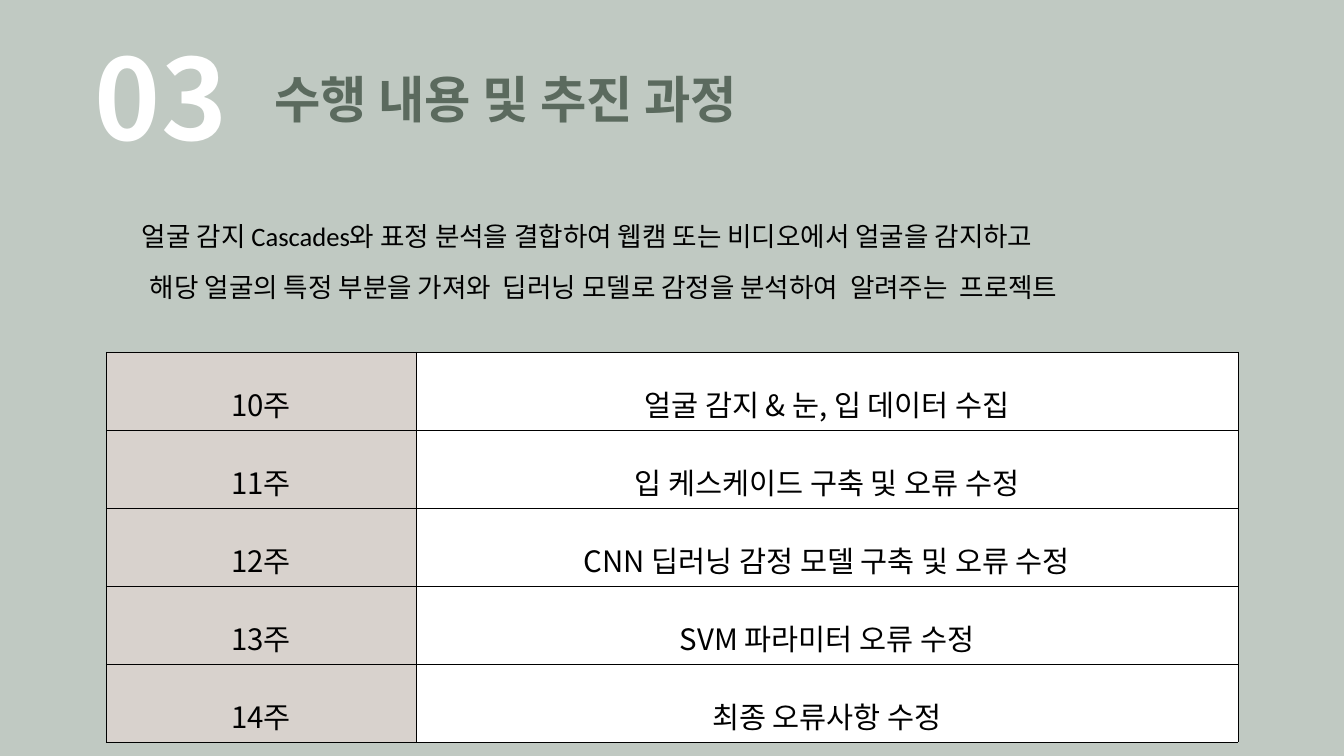
"""Build the project process slide with its weekly schedule table."""
from lxml.etree import SubElement
from pptx import Presentation
from pptx.dml.color import RGBColor
from pptx.enum.text import MSO_ANCHOR as Anchor, PP_ALIGN as Align
from pptx.oxml.ns import qn
from pptx.util import Emu, Pt

COLORS = {"page": "C0C9C2", "white": "FFFFFF", "black": "000000",
          "title": "5B6A5E", "week": "D8D2CD"}
NOTO = "Noto Sans CJK KR"
SUMMARY = [
    (14, "얼굴 감지 Cascades와 표정 분석을 결합하여 웹캠 또는 비디오에서 얼굴을 감지하고"),
    (22, "해당 얼굴의 특정 부분을 가져와  딥러닝 모델로 감정을 분석하여  알려주는  프로젝트"),
]
TASKS = [
    "얼굴 감지 & 눈, 입 데이터 수집",
    "입 케스케이드 구축 및 오류 수정",
    "CNN 딥러닝 감정 모델 구축 및 오류 수정",
    "SVM 파라미터 오류 수정",
    "최종 오류사항 수정",
]
FIRST_WEEK = 10


def px(length):
    return Emu(round(length * 914400 / 100.8))


def color(name):
    return RGBColor.from_string(COLORS[name])


class SlideWriter:
    """Hold the style and the current slide."""

    def __init__(self, deck):
        self.page = deck.slides.add_slide(deck.slide_layouts[5])
        fill = self.page.background.fill
        fill.solid()
        fill.fore_color.rgb = color("page")

    def style(self, para, size, font=NOTO, ink="black", bold=False,
              align=Align.LEFT, spacing=1.6):
        para.alignment = align
        para.line_spacing = spacing
        para.space_before = Pt(0)
        for span in para.runs:
            span.font.size = Pt(size)
            span.font.name = font
            span.font.bold = bold
            span.font.color.rgb = color(ink)

    def place(self, box, left, top, width, height):
        box.left, box.top = px(left), px(top)
        box.width, box.height = px(width), px(height)

    def title(self, text, *area):
        box = self.page.shapes.title
        self.place(box, *area)
        box.text_frame.text = text
        box.text_frame.vertical_anchor = Anchor.MIDDLE
        self.style(box.text_frame.paragraphs[0], 36, ink="title", bold=True,
                   align=Align.JUSTIFY, spacing=1.2)

    def text_box(self, text, *area):
        box = self.page.shapes.add_textbox(*map(px, area))
        box.text_frame.word_wrap = True
        box.text_frame.text = text
        return box.text_frame.paragraphs

    def number(self, text, *area):
        for para in self.text_box(text, *area):
            self.style(para, 80, ink="white", bold=True, spacing=0.9)

    def summary(self, lines, *area):
        paragraphs = self.text_box("\n".join(text for _, text in lines), *area)
        for para, (indent, _) in zip(paragraphs, lines):
            para._p.get_or_add_pPr().set("indent", str(px(indent)))
            self.style(para, 19, font="Calibri", align=Align.JUSTIFY)

    def cell(self, cell, text, fill):
        for side in ("a:lnL", "a:lnR", "a:lnT", "a:lnB"):
            line = SubElement(cell._tc.get_or_add_tcPr(), qn(side), w=str(Pt(0.33)))
            SubElement(SubElement(line, qn("a:solidFill")), qn("a:srgbClr"),
                       val=COLORS["black"])
        cell.fill.solid()
        cell.fill.fore_color.rgb = color(fill)
        cell.vertical_anchor = Anchor.TOP
        cell.text_frame.text = text
        self.style(cell.text_frame.paragraphs[0], 21, align=Align.CENTER)

    def schedule(self, tasks, left, top, widths, row_height):
        area = left, top, sum(widths), row_height * len(tasks)
        table = self.page.shapes.add_table(len(tasks), 2, *map(px, area)).table
        table.first_row = table.horz_banding = False
        for column, width in zip(table.columns, widths):
            column.width = px(width)
        for row, task in enumerate(tasks):
            self.cell(table.cell(row, 0), f"{FIRST_WEEK + row}주", "week")
            self.cell(table.cell(row, 1), task, "white")


def main():
    deck = Presentation()
    deck.slide_width, deck.slide_height = px(1344), px(756)
    writer = SlideWriter(deck)
    writer.number("03", 85, 39, 343, 147)
    writer.title("수행 내용 및 추진 과정", 264, 18, 642, 148)
    writer.summary(SUMMARY, 118, 196, 1131, 107)
    writer.schedule(TASKS, 106, 352, (310, 822), 78)
    deck.save("out.pptx")


if __name__ == "__main__":
    main()
